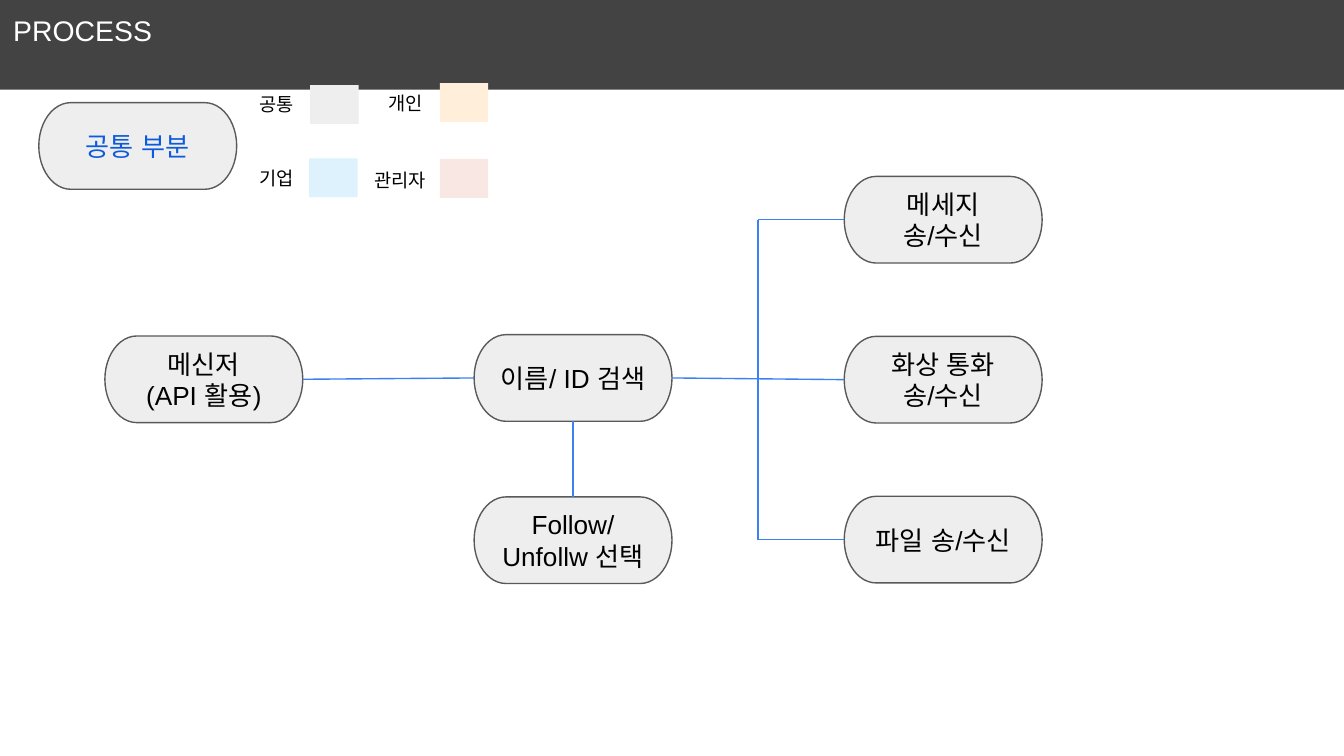
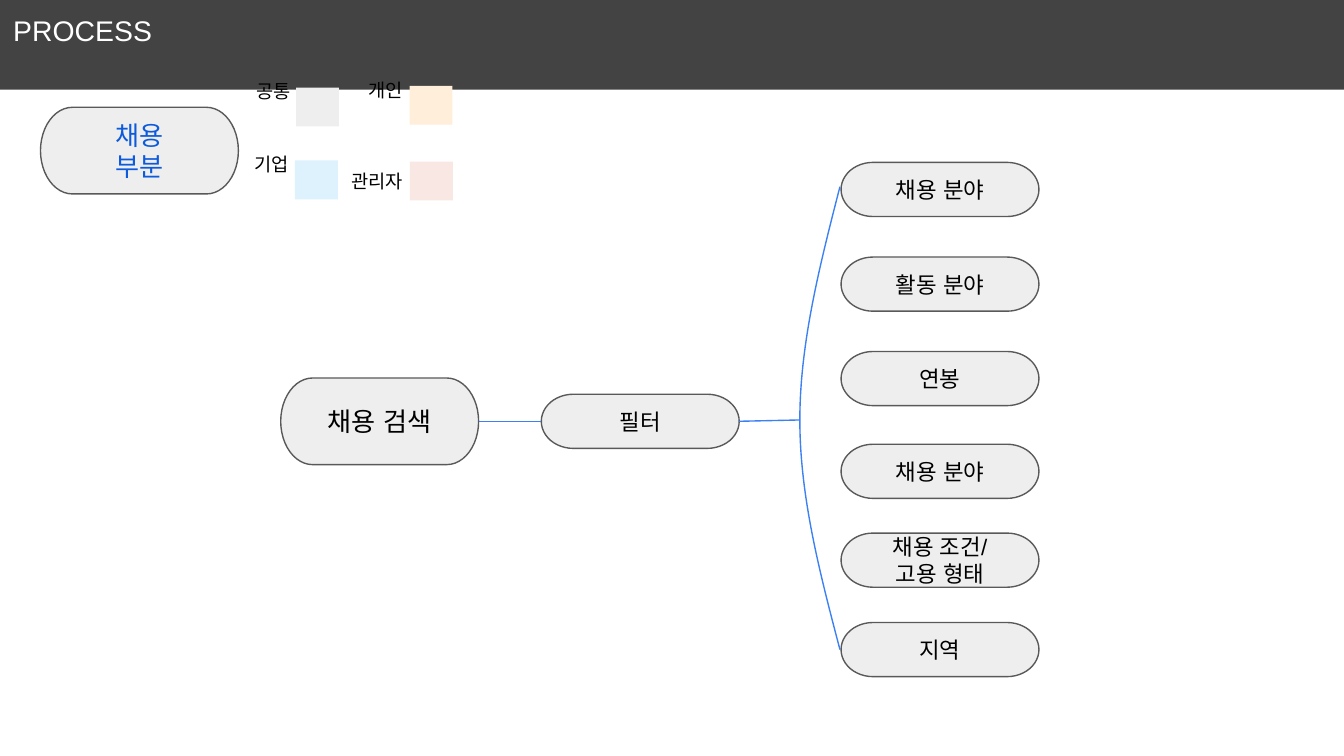
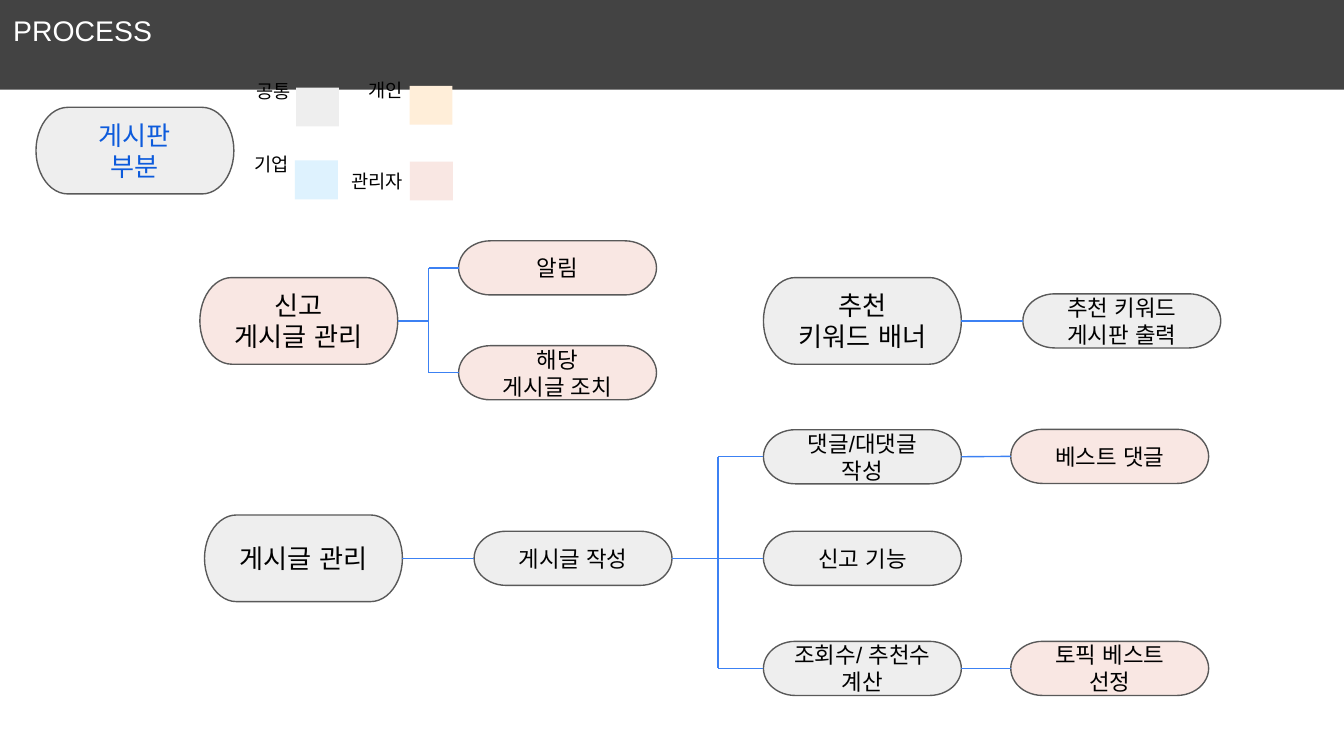
from lxml.etree import SubElement
from pptx import Presentation
from pptx.dml.color import RGBColor
from pptx.enum.shapes import MSO_CONNECTOR, MSO_SHAPE
from pptx.enum.text import MSO_ANCHOR, PP_ALIGN
from pptx.oxml.ns import qn
from pptx.util import Pt

COLORS = {
    "band": "434343", "white": "FFFFFF", "black": "000000", "section": "0D5BDC",
    "outline": "595959", "link": "3C81F3",
    "common": "EEEEEE", "person": "FFEED9", "company": "DEF2FE", "admin": "F9E7E3",
}
FONT = "Arial"
SLIDE_W, SLIDE_H = 720, 405
NODE_W, LARGE_H, SMALL_H = 106, 46.4, 29
LINE_W = 0.75
TOP, LEFT, BOTTOM, RIGHT = range(4)

# Each entry: name, fill, label centre, swatch corner
WIDE_LEGEND = (26, [
    ("공통", "common", (148.4, 55.7), (166.2, 45.6)),
    ("개인", "person", (217.5, 55.2), (235.6, 44.6)),
    ("기업", "company", (147.9, 95.4), (165.6, 84.8)),
    ("관리자", "admin", (214.3, 96.2), (235.6, 85.2)),
])
NARROW_LEGEND = (23, [
    ("공통", "common", (146.3, 49), (158.6, 47)),
    ("개인", "person", (206.8, 48), (219.4, 46)),
    ("기업", "company", (145.7, 88), (158, 86)),
    ("관리자", "admin", (202, 97.2), (219.6, 86.6)),
])


def rgb(name):
    return RGBColor.from_string(COLORS[name])


class ProcessDeck:
    def __init__(self):
        self.prs = Presentation()
        self.prs.slide_width, self.prs.slide_height = Pt(SLIDE_W), Pt(SLIDE_H)
        self.s = None

    def slide(self, section, at, legend):
        self.s = self.prs.slides.add_slide(self.prs.slide_layouts[6])
        band = self.shape(self.s.shapes, MSO_SHAPE.RECTANGLE, 0, 0, SLIDE_W, 48, "band")
        self.text(band, "PROCESS", 15.2, "white", PP_ALIGN.LEFT, MSO_ANCHOR.TOP)
        self.node(section, *at, color="section")
        self.legend(*legend)

    def shape(self, shapes, kind, x, y, w, h, fill):
        sp = shapes.add_shape(kind, Pt(x), Pt(y), Pt(w), Pt(h))
        sp.shadow.inherit = False
        sp.fill.solid()
        sp.fill.fore_color.rgb = rgb(fill)
        sp.line.fill.background()
        return sp

    def text(self, sp, text, size, color="black", align=PP_ALIGN.CENTER,
             anchor=MSO_ANCHOR.MIDDLE, inset=7.2):
        tf = sp.text_frame
        tf.word_wrap = True
        tf.vertical_anchor = anchor
        tf.margin_left = tf.margin_right = tf.margin_top = tf.margin_bottom = Pt(inset)
        for i, line in enumerate(text.split("\n")):
            p = tf.add_paragraph() if i else tf.paragraphs[0]
            p.text = line
            p.alignment = align
            p.font.size = Pt(size)
            p.font.color.rgb = rgb(color)
            p.font.name = FONT
            SubElement(p._p.pPr.find(qn("a:defRPr")), qn("a:ea"), typeface=FONT)

    def node(self, text, x, y, small=False, fill="common", color="black"):
        sp = self.shape(self.s.shapes, MSO_SHAPE.FLOWCHART_TERMINATOR, x, y,
                        NODE_W, SMALL_H if small else LARGE_H, fill)
        sp.line.color.rgb = rgb("outline")
        sp.line.width = Pt(LINE_W)
        self.text(sp, text, 12 if small else 14, color)
        return sp

    def legend(self, swatch_w, entries):
        shapes = self.s.shapes.add_group_shape().shapes
        for name, fill, (cx, cy), (x, y) in entries:
            w, h = 13 * len(name) + 10, 32
            box = shapes.add_textbox(Pt(cx - w / 2), Pt(cy - h / 2), Pt(w), Pt(h))
            self.text(box, name, 10, inset=0)
            self.shape(shapes, MSO_SHAPE.RECTANGLE, x, y, swatch_w, 20.8, fill)

    @staticmethod
    def port(sp, side):
        """Return the middle of one side of a node, in points."""
        fx, fy = {TOP: (0.5, 0), LEFT: (0, 0.5), BOTTOM: (0.5, 1), RIGHT: (1, 0.5)}[side]
        return (sp.left + sp.width * fx) / Pt(1), (sp.top + sp.height * fy) / Pt(1)

    def line(self, start, end, start_side=None, end_side=None):
        """Draw a line between ends that are points, or nodes when a side is given."""
        x1, y1 = start if start_side is None else self.port(start, start_side)
        x2, y2 = end if end_side is None else self.port(end, end_side)
        c = self.s.shapes.add_connector(MSO_CONNECTOR.STRAIGHT, Pt(x1), Pt(y1), Pt(x2), Pt(y2))
        if start_side is not None:
            c.begin_connect(start, start_side)
        if end_side is not None:
            c.end_connect(end, end_side)
        c.line.color.rgb = rgb("link")
        c.line.width = Pt(LINE_W)
        SubElement(c._element.spPr, qn("a:effectLst"))

    def chain(self, *nodes):
        for a, b in zip(nodes, nodes[1:]):
            self.line(a, b, RIGHT, LEFT)

    def bracket(self, x, first, last):
        """Join the left sides of two nodes by an upright line at x."""
        ys = [self.port(sp, LEFT)[1] for sp in (first, last)]
        for sp, y in zip((first, last), ys):
            self.line(sp, (x, y), start_side=LEFT)
        self.line((x, ys[0]), (x, ys[1]))

    def curve(self, start, *points):
        """Draw an open Bezier curve; every three points make one segment."""
        fb = self.s.shapes.build_freeform(Pt(start[0]), Pt(start[1]))
        fb.add_line_segments([(Pt(x), Pt(y)) for x, y in points], close=False)
        sp = fb.convert_to_shape()
        sp.shadow.inherit = False
        sp.fill.background()
        sp.line.color.rgb = rgb("link")
        sp.line.width = Pt(LINE_W)
        path = next(sp._element.iter(qn("a:path")))
        lines = path.findall(qn("a:lnTo"))
        for i in range(0, len(lines), 3):
            bezier = SubElement(path, qn("a:cubicBezTo"))
            for ln in lines[i:i + 3]:
                bezier.append(ln[0])
                path.remove(ln)


def common_slide(d):
    d.slide("공통 부분", (20.8, 55), WIDE_LEGEND)
    messenger = d.node("메신저\n(API 활용)", 56.2, 180)
    search = d.node("이름/ ID 검색", 254, 179.3)
    follow = d.node("Follow/\nUnfollw 선택", 254, 266.2)
    message, video, file = [
        d.node(text, 452.3, 94.5 + 85.7 * i)
        for i, text in enumerate(["메세지\n송/수신", "화상 통화\n송/수신", "파일 송/수신"])]
    d.chain(messenger, search, video)
    d.line(search, follow, BOTTOM, TOP)
    d.bracket(406, message, file)


def recruit_slide(d):
    d.slide("채용\n부분", (21.7, 57.5), NARROW_LEGEND)
    search = d.node("채용 검색", 150.4, 202.5)
    filters = d.node("필터", 290, 211.2, small=True)
    for text, y in [("채용 분야", 87), ("활동 분야", 137.7), ("연봉", 188.3),
                    ("채용 분야", 238), ("채용 조건/\n고용 형태", 285.6), ("지역", 333.5)]:
        d.node(text, 450.6, y, small=True)
    d.chain(search, filters)
    middle = (428.5, 225)
    d.curve((450, 100), (439.2, 142), (428.5, 184), middle,
            (428.5, 266), (439.2, 307), (450, 348))
    d.line(filters, middle, start_side=RIGHT)


def board_slide(d):
    d.slide("게시판\n부분", (19.3, 57.5), NARROW_LEGEND)
    report = d.node("신고\n게시글 관리", 107.1, 148.7, fill="admin")
    alarm = d.node("알림", 245.7, 129, small=True, fill="admin")
    action = d.node("해당\n게시글 조치", 245.7, 185.2, small=True, fill="admin")
    banner = d.node("추천\n키워드 배너", 409, 148.7)
    keyword = d.node("추천 키워드\n게시판 출력", 548, 157.4, small=True)
    manage = d.node("게시글 관리", 109.6, 275.9)
    write = d.node("게시글 작성", 254, 284.6, small=True)
    comment = d.node("댓글/대댓글 작성", 409, 230.2, small=True)
    best = d.node("베스트 댓글", 541.5, 230, small=True, fill="admin")
    flag = d.node("신고 기능", 409, 284.6, small=True)
    count = d.node("조회수/ 추천수\n계산", 409, 343.6, small=True)
    topic = d.node("토픽 베스트 선정", 541.5, 343.6, small=True, fill="admin")

    trunk_x = 229.6
    d.line(report, (trunk_x, d.port(report, RIGHT)[1]), start_side=RIGHT)
    d.bracket(trunk_x, alarm, action)
    d.bracket(384.6, comment, count)
    for nodes in [(banner, keyword), (manage, write, flag), (comment, best), (count, topic)]:
        d.chain(*nodes)


def main():
    d = ProcessDeck()
    common_slide(d)
    recruit_slide(d)
    board_slide(d)
    d.prs.save("out.pptx")


if __name__ == "__main__":
    main()
